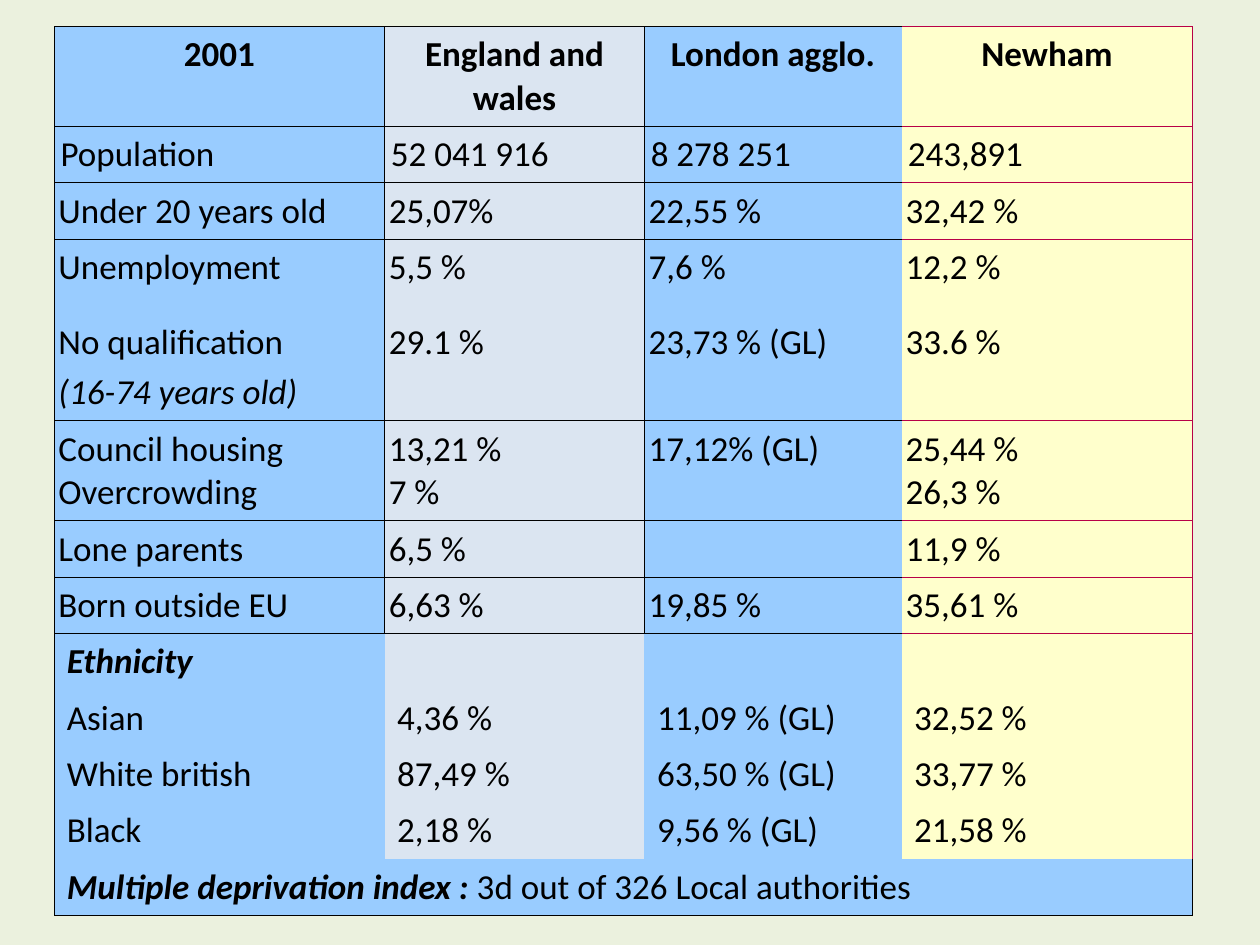
from dataclasses import dataclass

from lxml import etree
from pptx import Presentation
from pptx.dml.color import RGBColor
from pptx.enum import text
from pptx.oxml import ns
from pptx.util import Pt


@dataclass(frozen=True)
class Theme:
    background: str = "EBF1DE"
    ink: str = "000000"
    newham_rule: str = "B80047"
    column_fills: tuple = ("99CCFF", "DBE5F1", "99CCFF", "FFFFCC")
    font: str = "Calibri"
    size: float = 20
    rule: float = 0.28
    hairline: float = 0.06


THEME = Theme()
COLUMN_WIDTHS = (188.8, 148.5, 146.9, 166.3)
ROW_HEIGHTS = (57, 26.6, 26.6, 95, 57, 26.6, 26.6, 28.8, 26.6, 26.6, 26.6, 26.6)
ETHNICITY_ROW = 7
INDEX_ROW = 11

# A cell is a string, or a list of paragraphs; a paragraph is a string
# or a list of (words, style) runs, where style holds "b" and "i".
STATISTICS = (
    ([[("2001", "b")]], [[("England and wales", "b")]],
     [[("London agglo.", "b")]], [[("Newham", "b")]]),
    ("Population", "52 041 916", "8 278 251", "243,891"),
    ("Under 20 years old", "25,07%", "22,55 %", "32,42 %"),
    (["Unemployment", [("No qualification \n", ""), ("(16-74 years old)", "i")]],
     ["5,5 %", "29.1 %"], ["7,6 %", "23,73 % (GL)"], ["12,2 %", "33.6 %"]),
    ("Council housing\nOvercrowding", "13,21 %\n7 %", "17,12% (GL)",
     "25,44 %\n26,3 %"),
    ("Lone parents", "6,5 %", "", "11,9 %"),
    ("Born outside EU", "6,63 %", "19,85 %", "35,61 %"),
    ([[("Ethnicity", "bi")]], "", "", ""),
    ("Asian", "4,36 %", "11,09 % (GL)", "32,52 %"),
    ("White british", "87,49 %", "63,50 % (GL)", "33,77 %"),
    ("Black", "2,18 %", "9,56 % (GL)", "21,58 %"),
    ([[("Multiple deprivation index :", "bi"),
       (" 3d out of 326 Local authorities", "")]], "", "", ""),
)


def cell_borders(row, column):
    """Map each ruled side (L, R, T, B) to its colour and width."""
    rule = (THEME.ink, THEME.rule)
    hairline = (THEME.ink, THEME.hairline)
    newham_rule = (THEME.newham_rule, THEME.rule)
    newham_edge = (THEME.newham_rule, THEME.hairline)
    if row == INDEX_ROW:
        return dict.fromkeys("LRB", hairline)
    if row < ETHNICITY_ROW:
        if column == 3:
            return {"T": newham_rule, "R": newham_edge, "B": newham_rule}
        return dict.fromkeys("LTB" if column == 2 else "LRTB", rule)
    borders = {}
    if column == 0:
        borders["L"] = hairline
    if column == 3:
        borders["R"] = newham_edge
    if row == ETHNICITY_ROW:
        borders["T"] = newham_rule if column == 3 else rule
    return borders


def draw_borders(cell, borders):
    properties = cell._tc.get_or_add_tcPr()
    for side in "LRTB":
        line = etree.SubElement(properties, ns.qn(f"a:ln{side}"))
        if side in borders:
            color, width = borders[side]
            line.set("w", str(int(Pt(width))))
            fill = etree.SubElement(line, ns.qn("a:solidFill"))
            etree.SubElement(fill, ns.qn("a:srgbClr")).set("val", color)
        else:
            etree.SubElement(line, ns.qn("a:noFill"))


def add_run(paragraph, words, style):
    run = paragraph.add_run()
    run.text = words
    run.font.name = THEME.font
    run.font.size = Pt(THEME.size)
    run.font.bold = "b" in style
    run.font.italic = "i" in style
    run.font.color.rgb = RGBColor.from_string(THEME.ink)


def write_paragraph(paragraph, content, spacing, alignment):
    paragraph.line_spacing = spacing
    paragraph.space_after = Pt(14.3)
    paragraph.alignment = alignment
    runs = [(content, "")] if isinstance(content, str) else content
    for words, style in runs:
        for number, line in enumerate(words.split("\n")):
            if number:
                paragraph.add_line_break()
            if line:
                add_run(paragraph, line, style)


def write_cell(cell, content, alignment):
    paragraphs = [content] if isinstance(content, str) else content
    frame = cell.text_frame
    for number, paragraph_content in enumerate(paragraphs):
        paragraph = frame.add_paragraph() if number else frame.paragraphs[0]
        write_paragraph(paragraph, paragraph_content,
                        1.17 if number else 1.02, alignment)


def side_margin(row):
    if row < 2:
        return Pt(3.6)
    return Pt(2.4) if row < ETHNICITY_ROW else Pt(7.2)


def add_statistics_table(slide):
    table = slide.shapes.add_table(
        len(ROW_HEIGHTS), len(COLUMN_WIDTHS), Pt(31), Pt(15),
        Pt(sum(COLUMN_WIDTHS)), Pt(sum(ROW_HEIGHTS))).table
    table.first_row = table.horz_banding = False
    for column, width in zip(table.columns, COLUMN_WIDTHS):
        column.width = Pt(width)
    for row, height in zip(table.rows, ROW_HEIGHTS):
        row.height = Pt(height)

    for row, contents in enumerate(STATISTICS):
        alignment = text.PP_ALIGN.LEFT if row else text.PP_ALIGN.CENTER
        for column, content in enumerate(contents):
            cell = table.cell(row, column)
            cell.margin_left = cell.margin_right = side_margin(row)
            cell.margin_top = cell.margin_bottom = Pt(3.6)
            draw_borders(cell, cell_borders(row, column))
            cell.fill.solid()
            fill = THEME.column_fills[0 if row == INDEX_ROW else column]
            cell.fill.fore_color.rgb = RGBColor.from_string(fill)
            if content:
                write_cell(cell, content, alignment)
    table.cell(INDEX_ROW, 0).merge(table.cell(INDEX_ROW, 3))


def main():
    deck = Presentation()
    deck.slide_width, deck.slide_height = Pt(720), Pt(540)
    slide = deck.slides.add_slide(deck.slide_layouts[6])
    background = slide.background.fill
    background.solid()
    background.fore_color.rgb = RGBColor.from_string(THEME.background)
    add_statistics_table(slide)
    deck.save("out.pptx")


if __name__ == "__main__":
    main()
